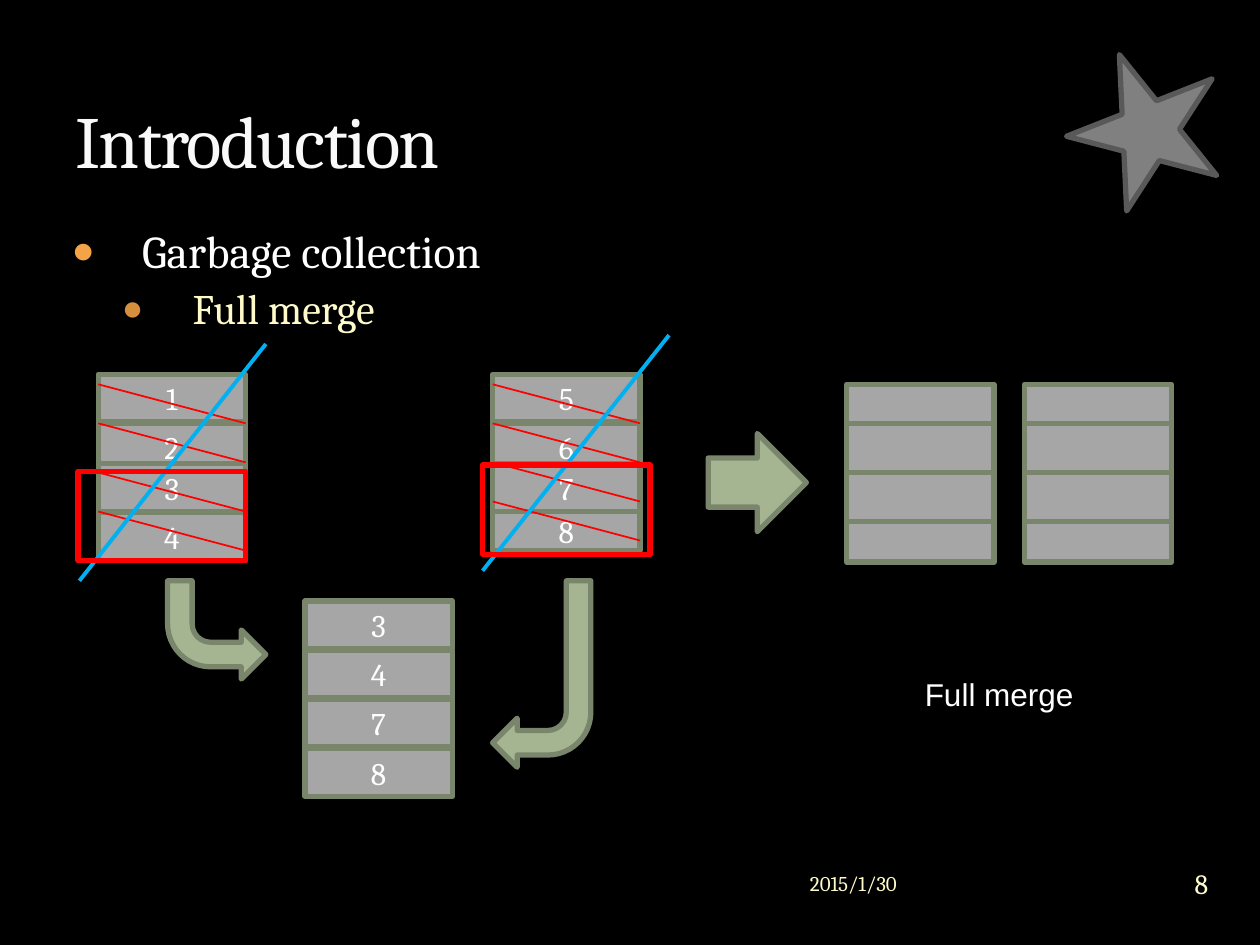
import pptx
import pptx.util
import pptx.dml.color
import pptx.enum.shapes
import pptx.enum.text
import pptx.oxml.ns
import lxml.etree

Inches, Pt = pptx.util.Inches, pptx.util.Pt
SHAPE = pptx.enum.shapes.MSO_SHAPE
ALIGN = pptx.enum.text.PP_ALIGN
ANCHOR = pptx.enum.text.MSO_ANCHOR
qn = pptx.oxml.ns.qn

COLORS = {
    "background": "000000", "white": "FFFFFF", "title": "F9F9F9", "cream": "FEFAC9",
    "bullet": "F3A447", "sub_bullet": "D6903D", "star": "808080", "star_edge": "595959",
    "cell": "A6A6A6", "edge": "7A866C", "arrow": "A5B592", "red": "FF0000", "blue": "00B0F0",
}
CELL_W = 1.17
STRIKE_RISE = 0.31


def rgb(name):
    """Return the named colour."""
    return pptx.dml.color.RGBColor.from_string(COLORS[name])


def write(p, text, size=18, color="white", font="Cambria", align=ALIGN.LEFT, spacing=None):
    """Put formatted text into a paragraph."""
    p.alignment = align
    r = p.add_run()
    r.text = text
    r.font.size, r.font.name = Pt(size), font
    r.font.color.rgb = rgb(color)
    if spacing is not None:
        r._r.get_or_add_rPr().set("spc", str(spacing))


def add_text(s, box, text=None, anchor=ANCHOR.TOP, inset=None, **fmt):
    """Add a wrapping text box and return its text frame."""
    tf = s.shapes.add_textbox(*map(Inches, box)).text_frame
    tf.word_wrap = True
    tf.vertical_anchor = anchor
    if inset is not None:
        tf.margin_left = tf.margin_right = tf.margin_top = tf.margin_bottom = Inches(inset)
    if text:
        write(tf.paragraphs[0], text, **fmt)
    return tf


def add_bullet(p, text, level, indent, before, bullet, **fmt):
    """Write a paragraph with a round bullet and a hanging indent."""
    write(p, text, **fmt)
    p.level = level
    p.space_before = Pt(before)
    pPr = p._p.get_or_add_pPr()
    pPr.set("marL", str(Inches(indent)))
    pPr.set("indent", str(Inches(-0.56)))
    clr = lxml.etree.SubElement(pPr, qn("a:buClr"))
    lxml.etree.SubElement(clr, qn("a:srgbClr")).set("val", COLORS[bullet])
    lxml.etree.SubElement(pPr, qn("a:buSzPct")).set("val", "85000")
    lxml.etree.SubElement(pPr, qn("a:buFont")).set("typeface", "Arial")
    lxml.etree.SubElement(pPr, qn("a:buChar")).set("char", "●")


def add_shape(s, kind, box, fill=None, line="edge", text=None, rotation=0, flips=()):
    """Add a preset shape with a 3 pt outline and optional centred text."""
    sp = s.shapes.add_shape(kind, *map(Inches, box))
    sp.shadow.inherit = False
    sp.rotation = rotation
    if fill:
        sp.fill.solid()
        sp.fill.fore_color.rgb = rgb(fill)
    else:
        sp.fill.background()
    sp.line.color.rgb = rgb(line)
    sp.line.width = Pt(3)
    for flip in flips:
        sp._element.spPr.find(qn("a:xfrm")).set(flip, "1")
    if text:
        sp.text_frame.vertical_anchor = ANCHOR.MIDDLE
        write(sp.text_frame.paragraphs[0], text, align=ALIGN.CENTER)


def add_line(s, x1, y1, x2, y2, color, width):
    """Add a straight line without shadow."""
    ln = s.shapes.add_connector(pptx.enum.shapes.MSO_CONNECTOR.STRAIGHT,
                                *map(Inches, (x1, y1, x2, y2)))
    ln.line.color.rgb = rgb(color)
    ln.line.width = Pt(width)
    lxml.etree.SubElement(ln._element.spPr, qn("a:effectLst"))


def add_stack(s, x, rows, labels=("",) * 4, strikes=()):
    """Add a column of cells given as (top, height), struck out in red."""
    for (top, height), label in zip(rows, labels):
        add_shape(s, SHAPE.RECTANGLE, (x, top, CELL_W, height), "cell", text=label)
    for y in strikes:
        add_line(s, x, y, x + CELL_W, y + STRIKE_RISE, "red", 1)


def main():
    """Build the slide."""
    prs = pptx.Presentation()
    prs.slide_width, prs.slide_height = Inches(10), Inches(7.5)
    s = prs.slides.add_slide(prs.slide_layouts[6])
    s.background.fill.solid()
    s.background.fill.fore_color.rgb = rgb("background")

    add_shape(s, SHAPE.STAR_5_POINT, (8.54, 0.49, 1.25, 1.17), "star", "star_edge",
              rotation=122.9)
    tf = add_text(s, (0.47, 1.72, 9.03, 0.94))
    add_bullet(tf.paragraphs[0], "Garbage collection", 0, 0.56, 6, "bullet", size=26)
    add_bullet(tf.add_paragraph(), "Full merge", 1, 0.96, 3, "sub_bullet",
               size=24, color="cream")
    add_text(s, (0.5, 0.17, 3.64, 1.33), "Introduction", ANCHOR.BOTTOM,
             size=42, color="title", spacing=-100)
    add_text(s, (6.33, 6.8, 2.83, 0.42), "2015/1/30", ANCHOR.MIDDLE, size=12, color="cream")
    add_text(s, (9.2, 6.76, 0.67, 0.5), "8", ANCHOR.MIDDLE, 0,
             size=16, color="cream", align=ALIGN.CENTER)

    upper = [(2.97, 0.38), (3.36, 0.38), (3.68, 0.38)]
    add_stack(s, 3.91, upper + [(4.06, 0.31)], "5678", (3.05, 3.36, 3.67, 3.98))
    add_stack(s, 0.78, upper + [(4.07, 0.38)], "1234", (3.05, 3.36, 3.75, 4.06))
    add_stack(s, 2.42, [(4.77 + 0.39 * i, 0.38) for i in range(4)], "3478")
    merged = [(3.05, 0.31), (3.36, 0.39), (3.75, 0.39), (4.14, 0.32)]
    for x in (6.72, 8.13):
        add_stack(s, x, merged)

    add_shape(s, SHAPE.BENT_ARROW, (1.33, 4.61, 0.78, 0.78), "arrow", flips=["flipV"])
    add_shape(s, SHAPE.BENT_ARROW, (3.91, 4.61, 0.78, 1.48), "arrow",
              flips=["flipH", "flipV"])
    add_shape(s, SHAPE.RIGHT_ARROW, (5.62, 3.44, 0.78, 0.78), "arrow")
    add_line(s, 3.83, 4.53, 5.31, 2.66, "blue", 2.25)
    add_line(s, 0.63, 4.61, 2.11, 2.73, "blue", 2.25)
    add_text(s, (6.72, 5.31, 2.42, 0.4), "Full merge", font="Arial", align=ALIGN.CENTER)
    for x, y in ((0.62, 3.74), (3.83, 3.69)):
        add_shape(s, SHAPE.RECTANGLE, (x, y, 1.33, 0.71), line="red")

    prs.save("out.pptx")


main()
